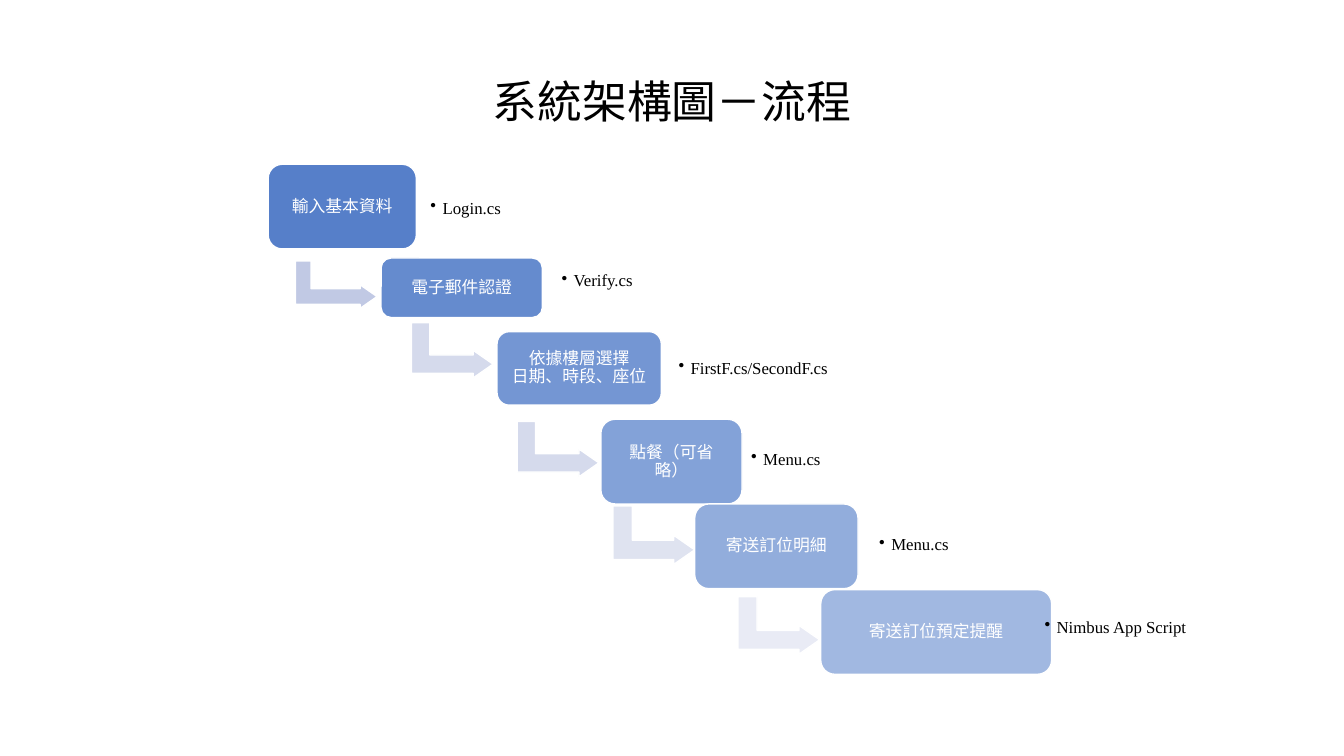
from lxml import etree
from pptx import Presentation
from pptx.dml.color import RGBColor
from pptx.enum.shapes import MSO_SHAPE as Shape
from pptx.enum.text import MSO_ANCHOR as Anchor, PP_ALIGN as Align
from pptx.oxml.ns import qn
from pptx.util import Inches, Pt

CJK = "Noto Sans CJK SC"
SERIF = "Times New Roman"
ARROW_LENGTH = 0.81
NOTE_HEIGHT = 0.68

# label lines, label font, stage box, note, note left, top and width
STAGES = [
    (["輸入基本資料"], CJK, (2.66, 1.63, 1.47, 0.84), "Login.cs", (4.22, 1.73, 0.87)),
    (["電子郵件認證"], SERIF, (3.78, 2.56, 1.6, 0.59), "Verify.cs", (5.52, 2.45, 0.87)),
    (["依據樓層選擇", "日期、時段、座位"], CJK, (4.93, 3.29, 1.63, 0.73),
     "FirstF.cs/SecondF.cs", (6.68, 3.32, 2.31)),
    (["點餐（可省略）"], SERIF, (5.96, 4.16, 1.4, 0.84), "Menu.cs", (7.4, 4.22, 0.87)),
    (["寄送訂位明細"], SERIF, (6.89, 5, 1.62, 0.84), "Menu.cs", (8.67, 5.07, 0.87)),
    (["寄送訂位預定提醒"], SERIF, (8.14, 5.85, 2.29, 0.84),
     "Nimbus App Script", (10.31, 5.89, 2.29)),
]

# left, top, drop and colour of the arrow leading to the next stage
ARROWS = [
    (2.93, 2.59, 0.47, "C1C9E4"),
    (4.08, 3.2, 0.55, "D5DAEC"),
    (5.13, 4.18, 0.55, "D5DAEC"),
    (6.08, 5.02, 0.58, "DFE3F0"),
    (7.32, 5.92, 0.57, "E9EBF5"),
]


def color(hex_string):
    return RGBColor.from_string(hex_string)


def add_run(paragraph, text, size, font, hex_string):
    run = paragraph.add_run()
    run.text = text
    run.font.size = Pt(size)
    run.font.name = font
    run.font.color.rgb = color(hex_string)
    east_asian = etree.SubElement(run._r.get_or_add_rPr(), qn("a:ea"))
    east_asian.set("typeface", CJK)


def set_frame(frame, inset):
    frame.word_wrap = True
    frame.vertical_anchor = Anchor.MIDDLE
    frame.margin_left = frame.margin_right = Inches(inset)
    frame.margin_top = frame.margin_bottom = Inches(inset)
    frame.paragraphs[0].line_spacing = 0.9


def add_block(slide, kind, box, fill):
    """Add a filled shape with a thin white outline and no shadow."""
    block = slide.shapes.add_shape(kind, *map(Inches, box))
    block.shadow.inherit = False
    block.fill.solid()
    block.fill.fore_color.rgb = color(fill)
    block.line.color.rgb = color("FFFFFF")
    block.line.width = Pt(1)
    return block


def add_title(slide, box, text):
    title = slide.shapes.add_textbox(*map(Inches, box)).text_frame
    title.word_wrap = True
    title.paragraphs[0].alignment = Align.CENTER
    add_run(title.paragraphs[0], text, 32, CJK, "000000")


def add_stage(slide, box, lines, font, opacity):
    stage = add_block(slide, Shape.ROUNDED_RECTANGLE, box, "4472C4")
    fill = stage._element.spPr.find(qn("a:solidFill"))
    etree.SubElement(fill[0], qn("a:alpha")).set("val", str(opacity * 1000))
    set_frame(stage.text_frame, 0.09)
    label = stage.text_frame.paragraphs[0]
    label.alignment = Align.CENTER
    for number, line in enumerate(lines):
        if number:
            label.add_line_break()
        add_run(label, line, 12, font, "FFFFFF")


def add_note(slide, left, top, width, text):
    """Add the bulleted file name beside a stage."""
    box = map(Inches, (left, top, width, NOTE_HEIGHT))
    frame = slide.shapes.add_textbox(*box).text_frame
    set_frame(frame, 0.05)
    note = frame.paragraphs[0]
    properties = note._p.get_or_add_pPr()
    properties.set("marL", str(Inches(0.12)))
    properties.set("indent", str(Inches(-0.12)))
    etree.SubElement(properties, qn("a:buChar")).set("char", "•")
    add_run(note, text, 12, SERIF, "000000")


def add_step_arrow(slide, left, top, drop, fill):
    """Add a down-then-right arrow whose visible box starts at left, top."""
    shift = (ARROW_LENGTH - drop) / 2
    box = (left + shift, top - shift, drop, ARROW_LENGTH)
    arrow = add_block(slide, Shape.BENT_UP_ARROW, box, fill)
    arrow.rotation = 90
    for index, value in enumerate((0.33, 0.25, 0.36)):
        arrow.adjustments[index] = value


def main():
    deck = Presentation()
    deck.slide_width, deck.slide_height = Inches(13.33), Inches(7.5)
    slide = deck.slides.add_slide(deck.slide_layouts[6])
    add_title(slide, (3.54, 0.68, 6.25, 0.64), "系統架構圖－流程")
    for arrow in ARROWS:
        add_step_arrow(slide, *arrow)
    for number, (lines, font, box, note, note_place) in enumerate(STAGES):
        add_stage(slide, box, lines, font, opacity=90 - 8 * number)
        add_note(slide, *note_place, note)
    deck.save("out.pptx")


if __name__ == "__main__":
    main()
